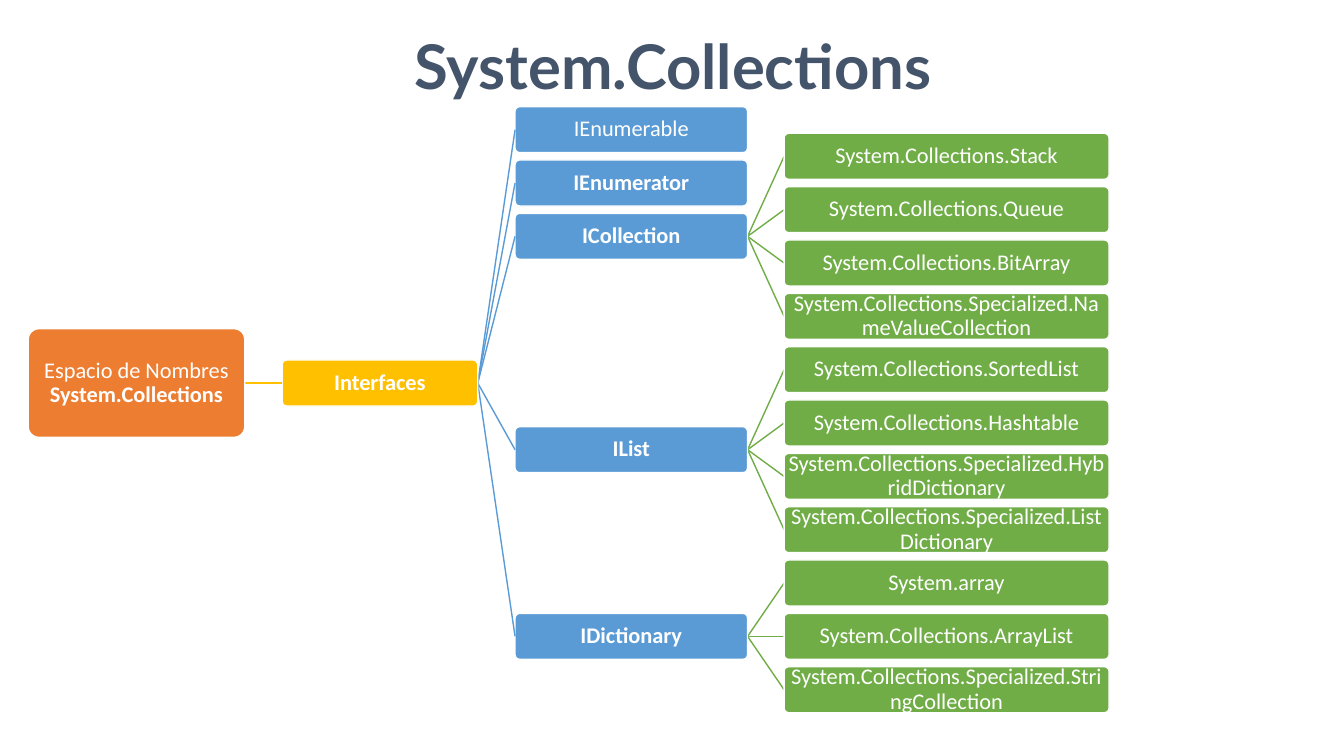
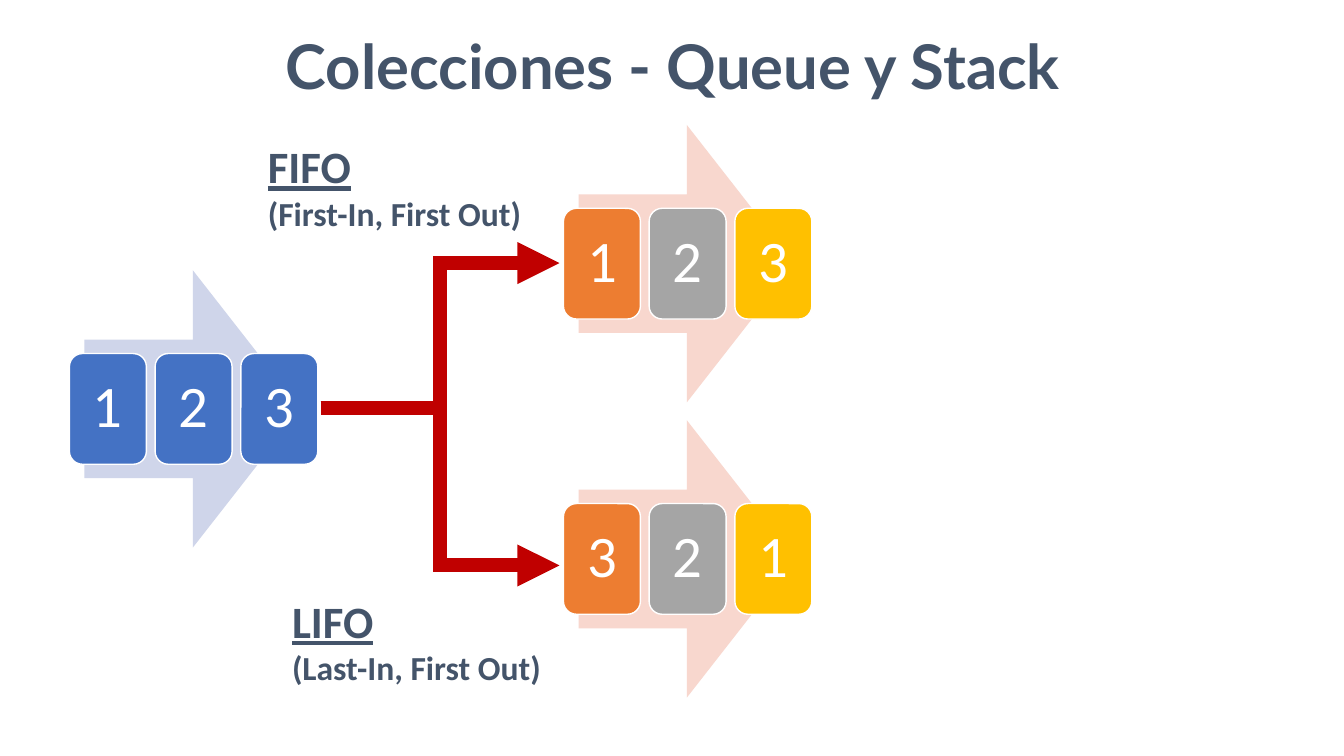
from lxml import etree
from pptx import Presentation
from pptx import util as u
from pptx.dml.color import RGBColor
from pptx.enum import shapes, text
from pptx.oxml import ns

NAVY, BLUE, SKY, WHITE = "44546A", "4472C4", "5B9BD5", "FFFFFF"
RUST, GOLD, GREEN, GREY, RED = "ED7D31", "FFC000", "70AD47", "A5A5A5", "C00000"
MIST, BLUSH = "CFD5EA", "F8D7CE"
KIND = shapes.MSO_SHAPE
LINK = shapes.MSO_CONNECTOR
MID = text.PP_ALIGN.CENTER


def color(code):
    """Turn a hex string into a colour."""
    return RGBColor.from_string(code)


def write(frame, lines, font="Calibri", size=16, ink=WHITE, align=None,
          space=None, inset=None, anchor=text.MSO_ANCHOR.TOP, wrap=True):
    """Fill a frame; each line is a list of (words, font settings)."""
    frame.word_wrap = wrap
    frame.vertical_anchor = anchor
    if inset:
        frame.margin_left = frame.margin_right = u.Cm(inset[0])
        frame.margin_top = frame.margin_bottom = u.Cm(inset[1])
    for i, line in enumerate(lines):
        para = frame.add_paragraph() if i else frame.paragraphs[0]
        para.alignment, para.line_spacing = align, space
        for words, extra in line:
            run = para.add_run()
            run.text = words
            run.font.name, run.font.size = font, u.Pt(size)
            run.font.color.rgb = color(ink)
            for key, value in extra.items():
                setattr(run.font, key, value)


class Deck:
    """Holds the shared style and the current slide."""

    def __init__(self):
        """Start an empty wide deck."""
        self.file = Presentation()
        self.file.slide_width = u.Cm(33.87)
        self.file.slide_height = u.Cm(19.05)

    def page(self, title):
        """Add a slide with its title."""
        self.slide = self.file.slides.add_slide(self.file.slide_layouts[6])
        self.label(0.33, 0.66, 33.27, 2.01, [[(title, {"bold": True})]],
                   font="Lato", size=44, align=MID, inset=(0.13, 0.05))

    def label(self, x, y, w, h, lines, **form):
        """Add a text box."""
        box = self.slide.shapes.add_textbox(*map(u.Cm, (x, y, w, h)))
        write(box.text_frame, lines, ink=NAVY, **form)

    def shape(self, kind, x, y, w, h, fill, edge=None):
        """Add a filled shape and return it."""
        item = self.slide.shapes.add_shape(kind, *map(u.Cm, (x, y, w, h)))
        item.shadow.inherit = False
        item.fill.solid()
        item.fill.fore_color.rgb = color(fill)
        if edge:
            item.line.color.rgb = color(edge)
            item.line.width = u.Pt(1)
        else:
            item.line.fill.background()
        return item

    def box(self, x, y, w, h, fill, runs, curve=0.1, size=16, inset=0.03):
        """Add a rounded box with centred text."""
        item = self.shape(KIND.ROUNDED_RECTANGLE, x, y, w, h, fill, WHITE)
        item.adjustments[0] = curve
        write(item.text_frame, [runs], size=size, align=MID, space=0.9,
              inset=(inset, inset), anchor=text.MSO_ANCHOR.MIDDLE)

    def link(self, start, end, ink, width=1, kind=LINK.STRAIGHT, head=False):
        """Join two points, with an arrowhead if asked."""
        item = self.slide.shapes.add_connector(
            kind, *map(u.Cm, (*start, *end)))
        item.line.color.rgb = color(ink)
        item.line.width = u.Pt(width)
        if head:
            line = item.line._get_or_add_ln()
            etree.SubElement(line, ns.qn("a:miter"), lim="800000")
            etree.SubElement(line, ns.qn("a:tailEnd"), type="triangle")
        etree.SubElement(item._element.spPr, ns.qn("a:effectLst"))

    def node(self, level, row, runs, kids=()):
        """Draw a tree box at a row, linked to the rows of its children."""
        x, w, h, fill = LEVELS[level]
        y = TOP + row * STEP
        for kid in kids:
            left, _, _, ink = LEVELS[level + 1]
            self.link((x + w, y), (left, TOP + kid * STEP), ink)
        self.box(x, y - h / 2, w, h, fill, runs)

    def queue(self, x, y, back, tiles):
        """Draw an arrow with a row of numbered tiles on it."""
        self.shape(KIND.RIGHT_ARROW, x + 0.38, y, 5.46, 6.99, back)
        for i, (num, fill) in enumerate(tiles):
            self.box(x + 2.16 * i, y + 2.1, 1.94, 2.79, fill, [(num, {})],
                     curve=0.17, size=42, inset=0.3)

    def order(self, x, y, name, note):
        """Name an access order and spell it out below."""
        self.label(x, y, 6.95, 2.64, [
            [(name, {"bold": True, "underline": True})],
            [(note, {"bold": True, "size": u.Pt(24)})]], size=32, wrap=False)


# Tree levels: left, width, height, colour; rows count from the first leaf
LEVELS = [(0.71, 5.46, 2.74, RUST), (7.11, 4.93, 1.16, GOLD),
          (12.98, 5.86, 1.16, SKY), (19.76, 8.19, 1.16, GREEN)]
TOP, STEP = 3.94, 1.344
SPACE = "System.Collections"
STRONG = {"bold": True}
GROUPS = [
    ("ICollection", [".Stack", ".Queue", ".BitArray",
                     ".Specialized.NameValueCollection"]),
    ("IList", [".SortedList", ".Hashtable", ".Specialized.HybridDictionary",
               ".Specialized.ListDictionary"]),
    ("IDictionary", ["System.array", ".ArrayList",
                     ".Specialized.StringCollection"])]

deck = Deck()
deck.page(SPACE)
deck.node(2, -0.5, [("IEnumerable", {})])
deck.node(2, 0.5, [("IEnumerator", STRONG)])
faces, first = [-0.5, 0.5], 0
for name, leaves in GROUPS:
    rows = range(first, first + len(leaves))
    faces.append((rows[0] + rows[-1]) / 2)
    deck.node(2, faces[-1], [(name, STRONG)], rows)
    for row, leaf in zip(rows, leaves):
        full = SPACE + leaf if leaf.startswith(".") else leaf
        deck.node(3, row, [(full, {})])
    first += len(leaves)
center = (faces[0] + faces[-1]) / 2
deck.node(1, center, [("Interfaces", STRONG)], faces)
deck.node(0, center, [("Espacio de Nombres ", {}), (SPACE, STRONG)], [center])

deck.page("Colecciones - Queue y Stack")
hues = (RUST, GREY, GOLD)
deck.queue(1.75, 6.81, MIST, [(n, BLUE) for n in "123"])
deck.queue(14.2, 10.59, BLUSH, zip("321", hues))
deck.queue(14.2, 3.15, BLUSH, zip("123", hues))
for y in (6.63, 14.25):
    deck.link((8.08, 10.29), (14.1, y), RED, 10, LINK.ELBOW, True)
deck.order(6.5, 3.38, "FIFO", "(First-In, First Out)")
deck.order(7.11, 14.83, "LIFO", "(Last-In, First Out)")

deck.file.save("out.pptx")
